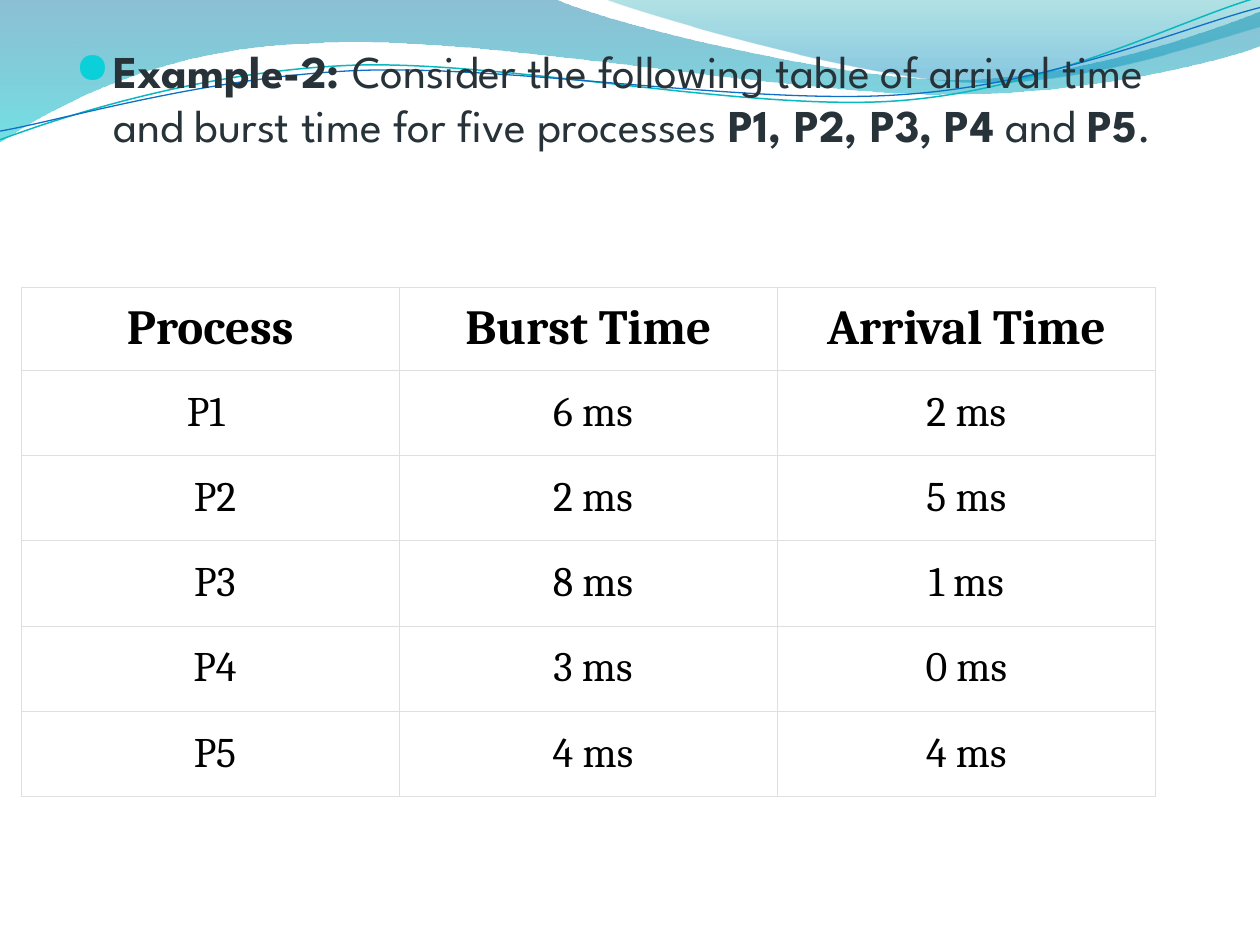
from lxml import etree
from pptx import Presentation
from pptx.dml.color import RGBColor
from pptx.enum.text import MSO_ANCHOR, PP_ALIGN
from pptx.oxml import parse_xml
from pptx.oxml.ns import qn
from pptx.util import Pt

CENTER = PP_ALIGN.CENTER
MIDDLE = MSO_ANCHOR.MIDDLE
DRAWING_NS = "http://schemas.openxmlformats.org/drawingml/2006/main"
COLORS = {
    "white": "FFFFFF", "black": "000000", "text": "273239", "bullet": "0BD0D9",
    "border": "DFDFDF", "teal line": "0AB8BF", "blue line": "0F6FC6",
    "deep blue": "0074A1", "cyan": "00C6CF", "teal": "00A1A9", "sky": "008BBF",
}


def color(name):
    return RGBColor.from_string(COLORS[name])


def add_curve(slide, start, segments, closed):
    """Draw an outline of straight (2 numbers) and cubic (6 numbers) segments, in points."""
    points = [(Pt(x), Pt(y)) for segment in segments
              for x, y in zip(segment[::2], segment[1::2])]
    builder = slide.shapes.build_freeform(Pt(start[0]), Pt(start[1]))
    builder.add_line_segments(points, close=closed)
    curve = builder.convert_to_shape()
    curve.shadow.inherit = False
    # Each run of three straight steps that stands for a cubic becomes one Bézier
    steps = iter(list(curve.element.iter(qn("a:lnTo"))))
    for segment in segments:
        first = next(steps)
        if len(segment) == 6:
            first.tag = qn("a:cubicBezTo")
            for _ in range(2):
                step = next(steps)
                first.append(step[0])
                step.getparent().remove(step)
    return curve


prs = Presentation()
prs.slide_width, prs.slide_height = Pt(720), Pt(540)
slide = prs.slides.add_slide(prs.slide_layouts[6])

# Header waves: start, segments, gradient stops (position %, colour, opacity %)
waves = [
    ((0, 0),
     [(316.8, -0.7), (342.7, 12.2, 478.1, 45.4, 545.8, 45.4),
      (614.2, 45.4, 689.8, 18.7, 720, 6.5), (720.7, 25.9),
      (707.8, 31.7, 626.4, 54.7, 537.1, 54), (447.8, 54, 275, 20.2, 185, 24.5),
      (92.9, 25.9, 33.1, 59.8, -0.7, 81.4)],
     [(0, "deep blue", 45), (100, "cyan", 55)]),
    ((344.9, -0.7),
     [(366.5, 7.9, 491, 44.6, 553.7, 46.8), (616.3, 49.7, 691.9, 23, 720, 15.1), (720, 0)],
     [(0, "teal", 30), (80, "sky", 45)]),
]
for start, segments, stops in waves:
    wave = add_curve(slide, start, segments, closed=True)
    wave.line.fill.background()
    wave.fill.gradient()
    stop_xml = "".join(
        f'<a:gs pos="{position * 1000}"><a:srgbClr val="{COLORS[name]}">'
        f'<a:alpha val="{opacity * 1000}"/></a:srgbClr></a:gs>'
        for position, name, opacity in stops)
    gradient = wave.element.spPr.find(qn("a:gradFill"))
    gradient.getparent().replace(gradient, parse_xml(
        f'<a:gradFill xmlns:a="{DRAWING_NS}"><a:gsLst>{stop_xml}</a:gsLst>'
        '<a:lin ang="5400000" scaled="0"/></a:gradFill>'))

# Thin lines across the waves
strands = [
    ((0, 79.9), [(34.6, 67, 113.8, 41, 199.4, 37.4), (284.4, 33.8, 427, 64.1, 513.4, 57.6),
                 (599.8, 51.1, 675.4, 10.8, 718.6, -1.4)], "teal line", 0.85),
    ((0, 74.9), [(33.8, 69.1, 118.1, 43.9, 203.8, 40.3), (290.2, 36.7, 429.8, 60.5, 516.2, 54),
                 (601.9, 48.2, 677.5, 15.1, 720, 4.3)], "blue line", 0.75),
]
for start, segments, line_color, width in strands:
    strand = add_curve(slide, start, segments, closed=False)
    strand.fill.background()
    strand.line.color.rgb = color(line_color)
    strand.line.width = Pt(width)

# Problem statement
statement = slide.shapes.add_textbox(Pt(36), Pt(20.9), Pt(648), Pt(461.5))
statement.text_frame.word_wrap = True
paragraph = statement.text_frame.paragraphs[0]
for words, bold in [
    ("Example-2: ", True),
    ("Consider the following table of arrival time and burst time for five processes ", False),
    ("P1, P2, P3, P4", True), (" and ", False), ("P5", True), (". ", False),
]:
    run = paragraph.add_run()
    run.text = words
    run.font.name = "League Spartan"
    run.font.size = Pt(26)
    run.font.bold = bold
    run.font.color.rgb = color("text")
properties = paragraph._p.get_or_add_pPr()
properties.set("marL", str(Pt(21.6)))
properties.set("indent", str(Pt(-21.6)))
spacing = etree.SubElement(properties, qn("a:spcBef"))
etree.SubElement(spacing, qn("a:spcPct")).set("val", "20000")
bullet_color = etree.SubElement(properties, qn("a:buClr"))
etree.SubElement(bullet_color, qn("a:srgbClr")).set("val", COLORS["bullet"])
etree.SubElement(properties, qn("a:buSzPct")).set("val", "95000")
etree.SubElement(properties, qn("a:buFont")).set("typeface", "OpenSymbol")
etree.SubElement(properties, qn("a:buChar")).set("char", "●")

# Process table
schedule = [
    ("Process", "Burst Time", "Arrival Time"),
    (" P1  ", " 6 ms", "2 ms"),
    (" P2", " 2 ms", "5 ms"),
    (" P3", " 8 ms", "1 ms"),
    (" P4", " 3 ms", "0 ms"),
    (" P5", " 4 ms", "4 ms"),
]
table = slide.shapes.add_table(len(schedule), 3, Pt(12.2), Pt(164.3), Pt(648), Pt(290.4)).table
table.first_row = table.horz_banding = False
for column in table.columns:
    column.width = Pt(216)
for row_index, entries in enumerate(schedule):
    header = row_index == 0
    table.rows[row_index].height = Pt(47.4 if header else 48.6)
    for column_index, entry in enumerate(entries):
        cell = table.cell(row_index, column_index)
        cell.text_frame.text = entry
        cell.vertical_anchor = MIDDLE
        cell.margin_left = cell.margin_right = Pt(3 if header and column_index == 0 else 7.2)
        cell.margin_top = cell.margin_bottom = Pt(6.9 if header else 9.9)
        paragraph = cell.text_frame.paragraphs[0]
        paragraph.alignment = CENTER
        font = paragraph.runs[0].font
        font.name = "Cambria"
        font.size = Pt(28 if header else 24)
        font.bold = header
        font.color.rgb = color("black")
        borders = cell._tc.get_or_add_tcPr()
        for side in ("lnL", "lnR", "lnT", "lnB"):
            borders.append(parse_xml(
                f'<a:{side} xmlns:a="{DRAWING_NS}" w="{Pt(0.23)}"><a:solidFill>'
                f'<a:srgbClr val="{COLORS["border"]}"/></a:solidFill></a:{side}>'))
        cell.fill.solid()
        cell.fill.fore_color.rgb = color("white")

prs.save("out.pptx")
